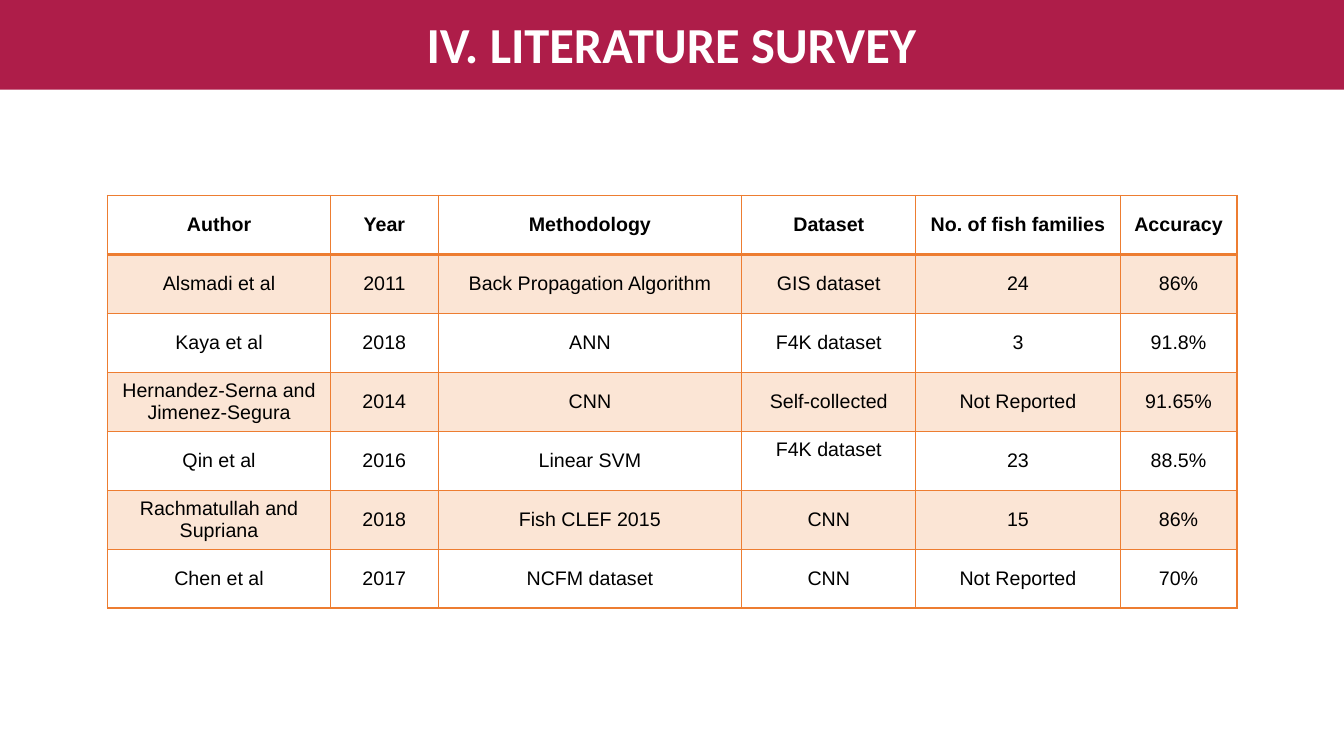
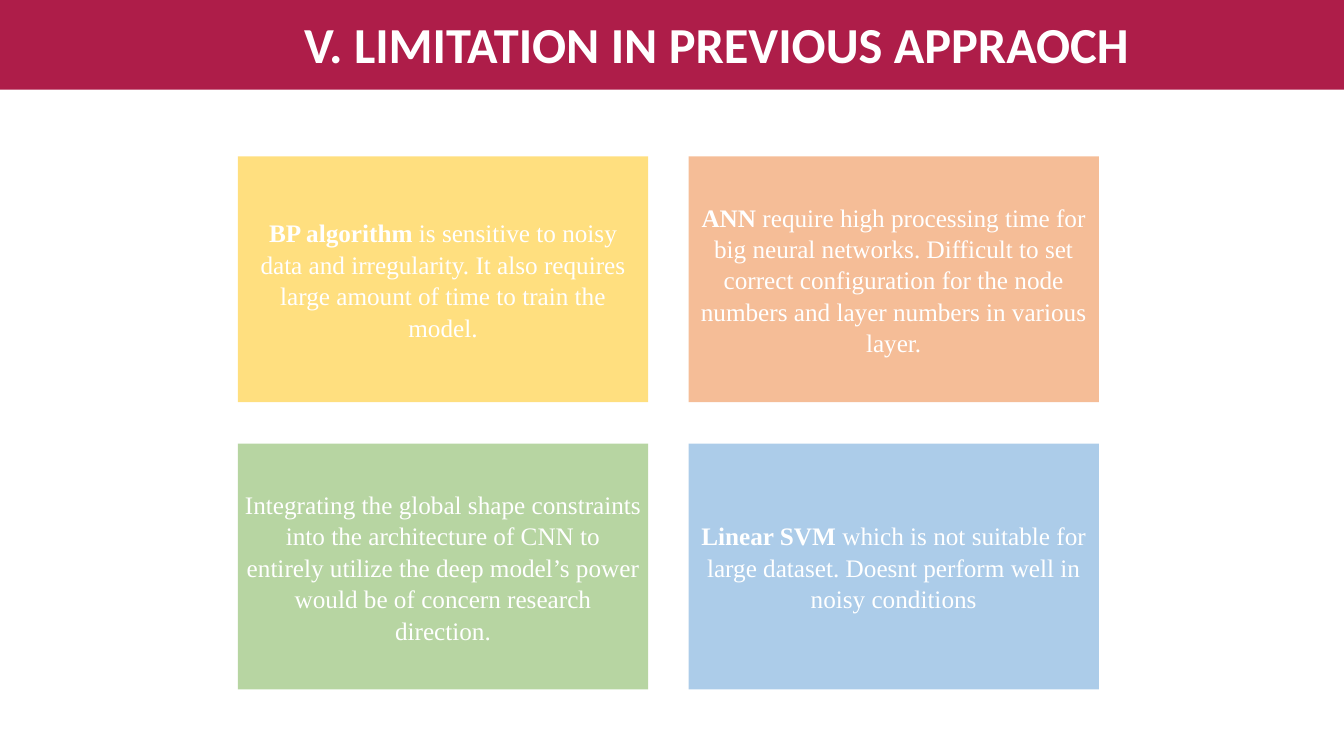
from lxml.etree import SubElement
from pptx import Presentation
from pptx.dml.color import RGBColor
from pptx.enum.shapes import MSO_SHAPE
from pptx.enum.text import MSO_ANCHOR, MSO_AUTO_SIZE, PP_ALIGN
from pptx.oxml import parse_xml
from pptx.oxml.ns import nsdecls, qn
from pptx.util import Inches, Pt

CRIMSON = RGBColor(0xAE, 0x1D, 0x49)
ORANGE = RGBColor(0xED, 0x7D, 0x31)
GOLD = RGBColor(0xFF, 0xC0, 0x00)
GREEN = RGBColor(0x70, 0xAD, 0x47)
BLUE = RGBColor(0x5B, 0x9B, 0xD5)
WHITE = RGBColor(0xFF, 0xFF, 0xFF)
BLACK = RGBColor(0x00, 0x00, 0x00)

TITLE_FONT = {"name": "Calibri", "size": Pt(36), "bold": True}
TABLE_FONT = {"name": "Arial", "size": Pt(14)}
CARD_FONT = {"name": "Times New Roman", "size": Pt(18)}

SURVEY_TITLE = "IV. LITERATURE SURVEY"
LIMITATION_TITLE = "V. LIMITATION IN PREVIOUS APPRAOCH"
TITLE_COLUMNS = {SURVEY_TITLE: 60.77, LIMITATION_TITLE: 67.5}

SURVEY_COLUMNS = [16.6, 8, 22.6, 12.95, 15.2, 8.7]
SURVEY_ROWS = [
    ["Author", "Year", "Methodology", "Dataset", "No. of fish families", "Accuracy"],
    ["Alsmadi et al", "2011", "Back Propagation Algorithm", "GIS dataset", "24", "86%"],
    ["Kaya et al", "2018", "ANN", "F4K dataset", "3", "91.8%"],
    ["Hernandez-Serna and Jimenez-Segura", "2014", "CNN", "Self-collected", "Not Reported", "91.65%"],
    ["Qin et al", "2016", "Linear SVM", "F4K dataset", "23", "88.5%"],
    ["Rachmatullah and Supriana", "2018", "Fish CLEF 2015", "CNN", "15", "86%"],
    ["Chen et al", "2017", "NCFM dataset", "CNN", "Not Reported", "70%"],
]
CARDS = [
    (GOLD, "BP algorithm",
     " is sensitive to noisy data and irregularity. It also requires large amount of time to train the model."),
    (ORANGE, "ANN",
     " require high processing time for big neural networks. Difficult to set correct configuration "
     "for the node numbers and layer numbers in various layer."),
    (GREEN, "",
     "Integrating the global shape constraints into the architecture of CNN to entirely utilize "
     "the deep model’s power would be of concern research direction."),
    (BLUE, "Linear SVM",
     " which is not suitable for large dataset. Doesnt perform well in noisy conditions"),
]

presentation = Presentation()
presentation.slide_width = Inches(13.33)
presentation.slide_height = Inches(7.5)
COLUMN = presentation.slide_width / 100
ROW = presentation.slide_height / 100


def place(left, top, width, height):
    return int(left * COLUMN), int(top * ROW), int(width * COLUMN), int(height * ROW)


def write(paragraph, text, font_format, color):
    paragraph.alignment = PP_ALIGN.CENTER
    run = paragraph.add_run()
    run.text = text
    for attribute, value in font_format.items():
        setattr(run.font, attribute, value)
    run.font.color.rgb = color


slides = {}
for heading, title_width in TITLE_COLUMNS.items():
    slide = presentation.slides.add_slide(presentation.slide_layouts[5])
    slides[heading] = slide
    title = slide.shapes.title
    title.left, title.top, title.width, title.height = place(19.58, 1.07, title_width, 9.47)
    title_frame = title.text_frame
    title_frame.word_wrap = True
    title_frame.auto_size = MSO_AUTO_SIZE.NONE
    title_frame.vertical_anchor = MSO_ANCHOR.TOP
    write(title_frame.paragraphs[0], heading, TITLE_FONT, WHITE)
    band = slide.shapes.add_shape(MSO_SHAPE.RECTANGLE, *place(0, 0, 100, 11.87))
    band.shadow.inherit = False
    band.fill.solid()
    band.fill.fore_color.rgb = CRIMSON
    band.line.fill.background()
    title.element.addprevious(band.element)

table_shape = slides[SURVEY_TITLE].shapes.add_table(
    len(SURVEY_ROWS), len(SURVEY_COLUMNS), *place(8, 25.87, sum(SURVEY_COLUMNS), 54.6))
table = table_shape.table
table.first_row = False
table.horz_banding = False
for column, share in zip(table.columns, SURVEY_COLUMNS):
    column.width = int(share * COLUMN)

for row_index, row_texts in enumerate(SURVEY_ROWS):
    for column_index, text in enumerate(row_texts):
        cell = table.cell(row_index, column_index)
        cell.vertical_anchor = MSO_ANCHOR.MIDDLE
        if row_index % 2:
            cell.fill.solid()
            cell.fill.fore_color.rgb = ORANGE
        else:
            cell.fill.background()
        cell_font = {**TABLE_FONT, "bold": row_index == 0}
        write(cell.text_frame.paragraphs[0], text, cell_font, BLACK)
table.cell(4, 3).margin_bottom = Inches(0.27)

for cell_index, properties in enumerate(table_shape.element.iter(qn("a:tcPr"))):
    row_index = cell_index // len(SURVEY_COLUMNS)
    for color in properties.iter(qn("a:srgbClr")):
        SubElement(color, qn("a:alpha"), val="20000")
    border_points = {"lnL": 1, "lnR": 1, "lnT": 2 if row_index == 1 else 1, "lnB": 2 if row_index == 0 else 1}
    for position, (side, points) in enumerate(border_points.items()):
        properties.insert(position, parse_xml(
            f'<a:{side} {nsdecls("a")} w="{Pt(points)}"><a:solidFill>'
            f'<a:srgbClr val="{ORANGE}"/></a:solidFill></a:{side}>'))

for card_index, (color, lead, text) in enumerate(CARDS):
    card_row, card_column = divmod(card_index, 2)
    card = slides[LIMITATION_TITLE].shapes.add_shape(
        MSO_SHAPE.RECTANGLE, *place(17.7 + 33.53 * card_column, 20.67 + 38 * card_row, 30.53, 32.53))
    card.shadow.inherit = False
    card.fill.solid()
    card.fill.fore_color.rgb = color
    for fill_color in card.element.spPr.iter(qn("a:srgbClr")):
        SubElement(fill_color, qn("a:alpha"), val="50000")
    card.line.fill.background()
    card_frame = card.text_frame
    card_frame.word_wrap = True
    card_frame.vertical_anchor = MSO_ANCHOR.MIDDLE
    for side in ("left", "right", "top", "bottom"):
        setattr(card_frame, f"margin_{side}", Inches(0.07))
    paragraph = card_frame.paragraphs[0]
    paragraph.line_spacing = 1.04
    if lead:
        write(paragraph, lead, {**CARD_FONT, "bold": True}, WHITE)
    write(paragraph, text, CARD_FONT, WHITE)

presentation.save("out.pptx")
